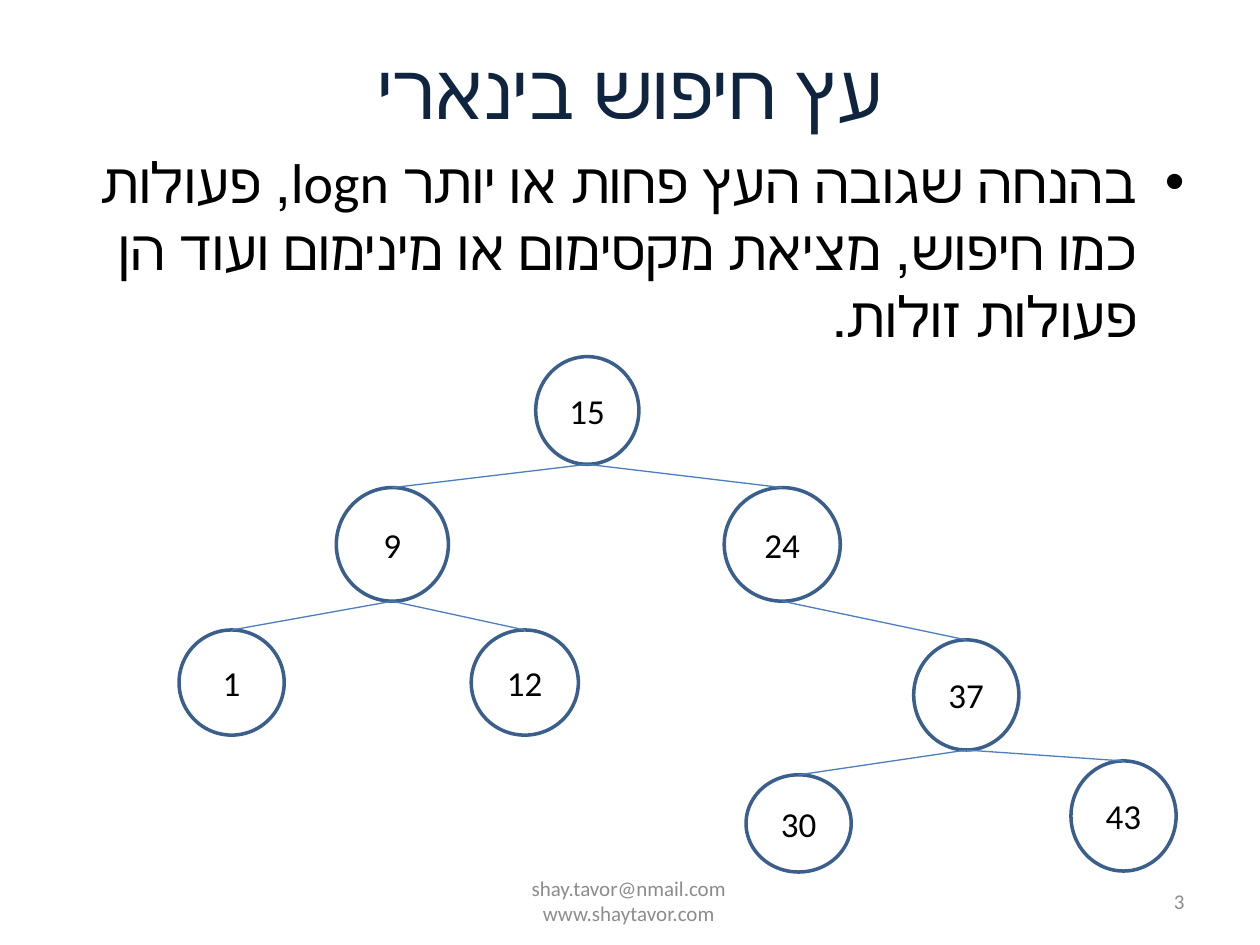
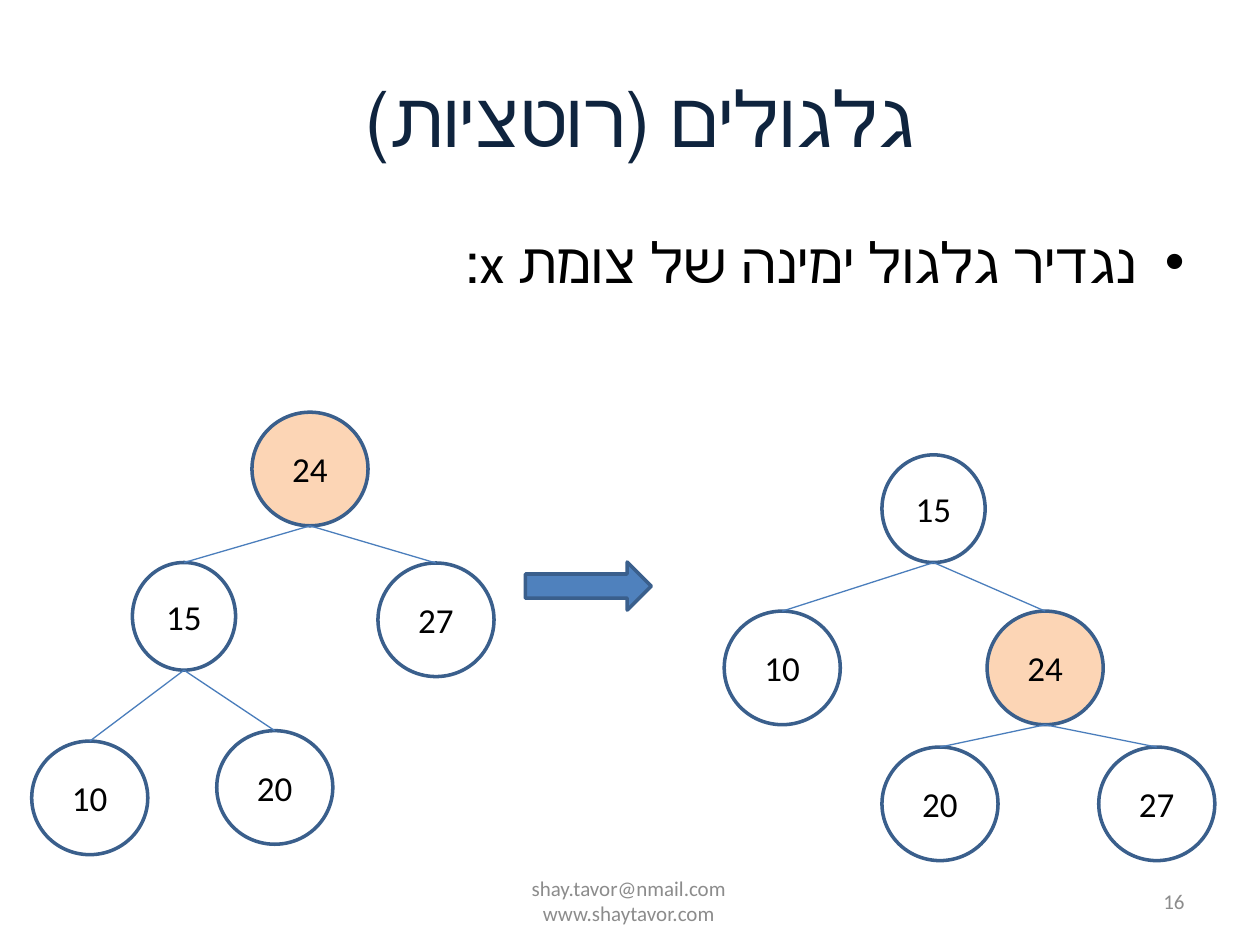
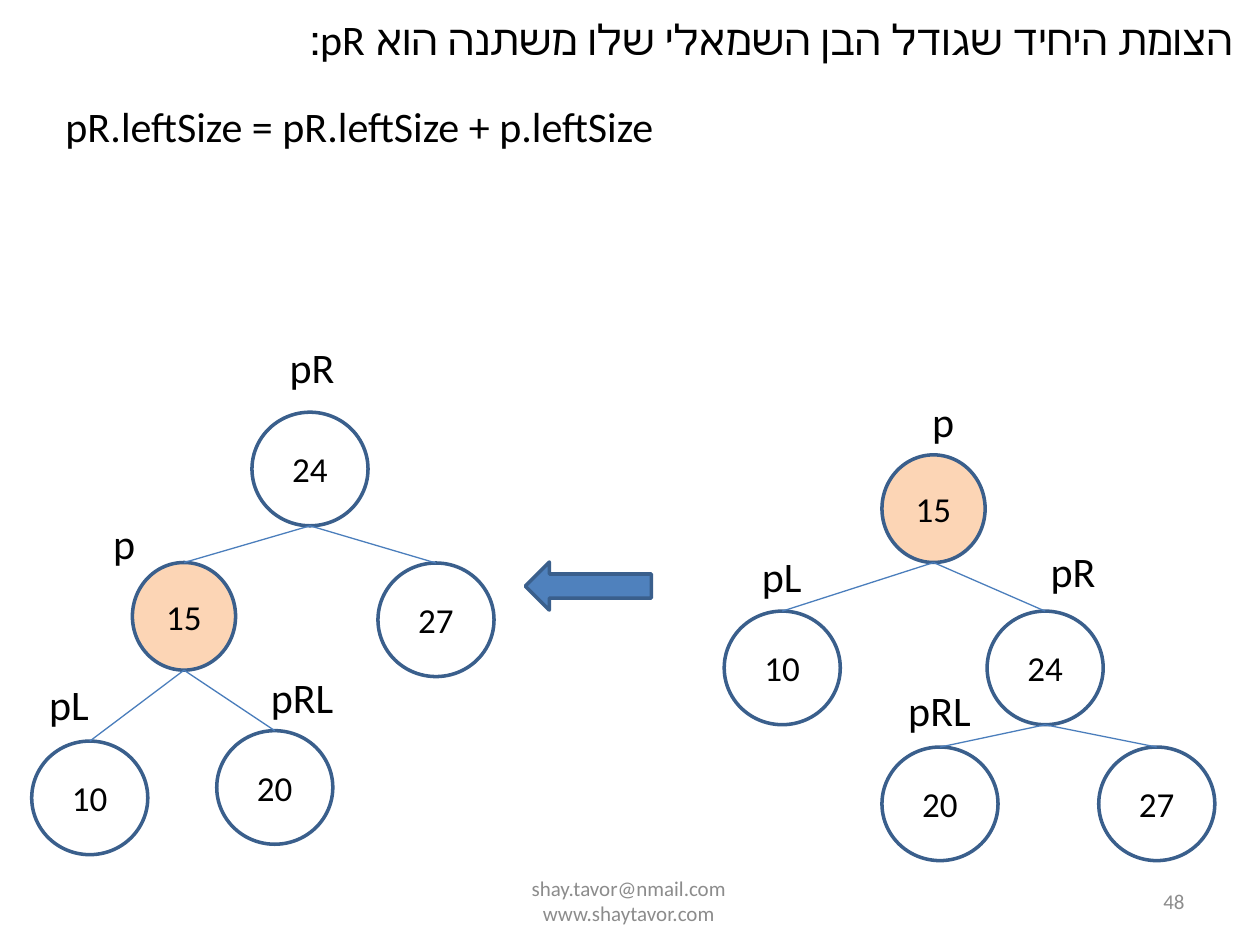
from lxml import etree
from pptx import Presentation
from pptx.dml.color import RGBColor
from pptx.enum import shapes, text
from pptx.oxml.ns import qn
from pptx.util import Cm, Pt

FONT = "Calibri"
COLOURS = {
    "title": "0F243E", "text": "000000", "footer": "8C8C8C", "outline": "3A5F8C",
    "edge": "4B7EBC", "arrow": "4F81BD", "rotated": "FCD5B5",
}
FOOTER = "shay.tavor@nmail.com\nwww.shaytavor.com"
FOOTER_BOX = (8.65, 17.65, 8.05, 1.02)
NUMBER_BOX = (18.21, 17.65, 5.92, 1.02)
ARROW_BOX = (10.59, 11.33, 2.54, 0.97)
SMALL, LARGE = (2.08, 2.17), (2.34, 2.29)

# Trees: key -> (parent key, left, top, size), lengths in cm
SEARCH_TREE = {
    15: (None, 10.8, 7.19, SMALL),
    9: (15, 6.78, 9.83, (2.26, 2.29)),
    24: (15, 14.6, 9.83, LARGE),
    1: (9, 3.61, 12.7, (2.12, 2.12)),
    12: (9, 9.5, 12.7, (2.16, 2.12)),
    37: (24, 18.42, 12.9, (2.12, 2.22)),
    30: (37, 15.04, 15.62, (2.12, 1.96)),
    43: (37, 21.59, 15.34, (2.12, 2.22)),
}
LEFT_TREE = {
    24: (None, 5.08, 8.31, LARGE),
    15: (24, 2.67, 11.34, SMALL),
    27: (24, 7.62, 11.35, LARGE),
    10: (15, 0.64, 14.94, LARGE),
    20: (15, 4.37, 14.73, LARGE),
}
RIGHT_TREE = {
    15: (None, 17.78, 9.17, SMALL),
    10: (15, 14.6, 12.32, LARGE),
    24: (15, 19.9, 12.32, LARGE),
    20: (24, 17.78, 15.06, LARGE),
    27: (24, 22.15, 15.06, LARGE),
}
LABEL_WIDTHS = {"p": 1.27, "pL": 1.5, "pR": 1.5, "pRL": 2.06}

SLIDES = [
    {
        "number": 3,
        "title": ("עץ חיפוש בינארי", (1.27, 0.2, 22.86, 3.18)),
        "body": ("בהנחה שגובה העץ פחות או יותר logn, פעולות כמו חיפוש, "
                 "מציאת מקסימום או מינימום ועוד הן פעולות זולות.",
                 (1.27, 2.84, 22.86, 4.45)),
        "trees": [SEARCH_TREE],
    },
    {
        "number": 16,
        "title": (" גלגולים (רוטציות)", (1.27, 0.76, 22.86, 3.18)),
        "body": ("נגדיר גלגול ימינה של צומת x:", (1.27, 4.45, 22.86, 2.34)),
        "trees": [RIGHT_TREE, LEFT_TREE],
        "rotated": 24,
        "arrow": shapes.MSO_SHAPE.RIGHT_ARROW,
    },
    {
        "number": 48,
        "trees": [RIGHT_TREE, LEFT_TREE],
        "rotated": 15,
        "arrow": shapes.MSO_SHAPE.LEFT_ARROW,
        "labels": [
            ("p", 2.03, 10.31), ("pL", 0.74, 13.56), ("pR", 5.59, 6.76), ("pRL", 5.21, 13.41),
            ("p", 18.54, 7.85), ("pL", 15.11, 10.97), ("pR", 20.93, 10.87), ("pRL", 18.06, 13.67),
        ],
        "statement": ("הצומת היחיד שגודל הבן השמאלי שלו משתנה הוא pR:", (1.17, 0.15, 23.93, 1.27)),
        "formula": ("pR.leftSize = pR.leftSize + p.leftSize", (1.07, 1.9, 24.13, 1.27)),
    },
]


def rgb(name):
    return RGBColor.from_string(COLOURS[name])


def cm_box(box):
    return [Cm(length) for length in box]


def write(frame, words, size, colour="text", align=None, anchor=None, rtl=False):
    frame.text = words
    frame.word_wrap = True
    if anchor is not None:
        frame.vertical_anchor = anchor
    for paragraph in frame.paragraphs:
        paragraph.alignment = align
        paragraph.font.name = FONT
        paragraph.font.size = Pt(size)
        paragraph.font.color.rgb = rgb(colour)
        if rtl:
            paragraph._p.get_or_add_pPr().set("rtl", "1")


def add_text(slide, words, box, size=24, **style):
    write(slide.shapes.add_textbox(*cm_box(box)).text_frame, words, size, **style)


def fill_placeholder(placeholder, words, box, size, **style):
    placeholder.left, placeholder.top, placeholder.width, placeholder.height = cm_box(box)
    write(placeholder.text_frame, words, size, **style)
    placeholder.text_frame.auto_size = text.MSO_AUTO_SIZE.NONE


def add_outlined(slide, kind, box, fill=None):
    shape = slide.shapes.add_shape(kind, *cm_box(box))
    shape.shadow.inherit = False
    shape.line.color.rgb = rgb("outline")
    shape.line.width = Pt(2)
    if fill:
        shape.fill.solid()
        shape.fill.fore_color.rgb = rgb(fill)
    else:
        shape.fill.background()
    return shape


def add_edge(slide, parent, child):
    """Draw a line from the bottom of the parent to the top of the child."""
    edge = slide.shapes.add_connector(
        shapes.MSO_CONNECTOR.STRAIGHT, parent.left + parent.width // 2,
        parent.top + parent.height, child.left + child.width // 2, child.top)
    edge.end_connect(child, 0)
    edge.line.color.rgb = rgb("edge")
    edge.line.width = Pt(0.75)
    etree.SubElement(edge._element.spPr, qn("a:effectLst"))


def add_tree(slide, tree, rotated):
    nodes = {}
    for key, (parent, left, top, size) in tree.items():
        node = add_outlined(slide, shapes.MSO_SHAPE.OVAL, (left, top, *size),
                            "rotated" if key == rotated else None)
        write(node.text_frame, str(key), 20, align=text.PP_ALIGN.CENTER,
              anchor=text.MSO_ANCHOR.MIDDLE)
        nodes[key] = node
        if parent is not None:
            add_edge(slide, nodes[parent], node)


def add_footer(slide, number):
    for words, box, align in ((FOOTER, FOOTER_BOX, text.PP_ALIGN.CENTER),
                              (str(number), NUMBER_BOX, text.PP_ALIGN.RIGHT)):
        add_text(slide, words, box, 12, colour="footer", align=align,
                 anchor=text.MSO_ANCHOR.MIDDLE)


def build_slide(deck, content):
    layout = deck.slide_layouts[1 if "title" in content else 6]
    slide = deck.slides.add_slide(layout)
    if "title" in content:
        fill_placeholder(slide.shapes.title, *content["title"], 44, colour="title",
                         align=text.PP_ALIGN.CENTER, anchor=text.MSO_ANCHOR.MIDDLE)
        fill_placeholder(slide.placeholders[1], *content["body"], 32,
                         align=text.PP_ALIGN.RIGHT, rtl=True)
    add_footer(slide, content["number"])
    for tree in content["trees"]:
        add_tree(slide, tree, content.get("rotated"))
    if "arrow" in content:
        add_outlined(slide, content["arrow"], ARROW_BOX, "arrow")
    for label, left, top in content.get("labels", []):
        add_text(slide, label, (left, top, LABEL_WIDTHS[label], 1.27))
    if "statement" in content:
        add_text(slide, *content["statement"], align=text.PP_ALIGN.RIGHT, rtl=True)
        add_text(slide, *content["formula"])


def main():
    deck = Presentation()
    deck.slide_width, deck.slide_height = Cm(25.4), Cm(19.05)
    for content in SLIDES:
        build_slide(deck, content)
    deck.save("out.pptx")


if __name__ == "__main__":
    main()
